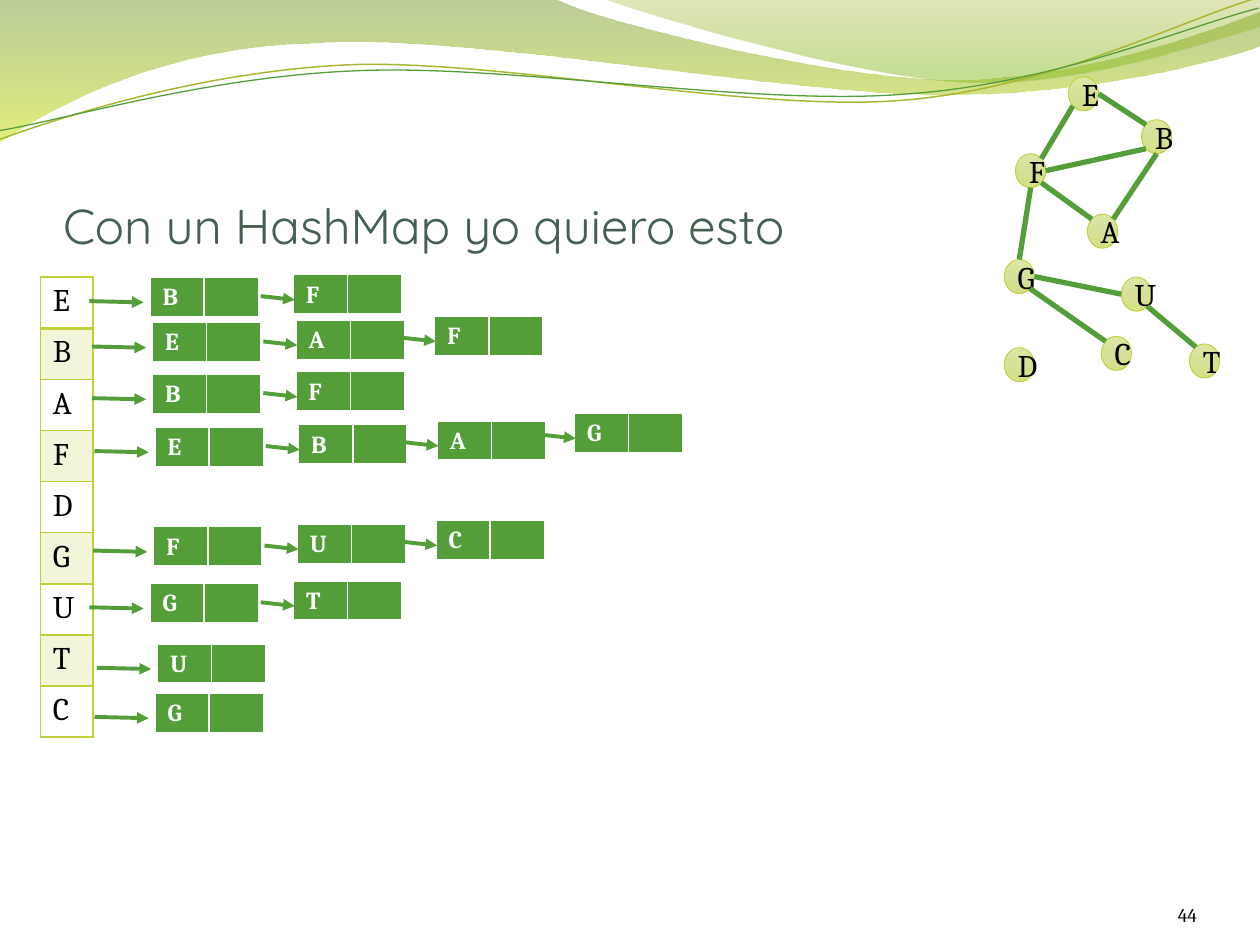
"""Builds a slide showing a graph and its adjacency lists in a HashMap."""
from dataclasses import dataclass
from math import cos, radians, sin

from lxml.etree import SubElement
from pptx import Presentation
from pptx.dml.color import RGBColor
from pptx.enum.shapes import MSO_CONNECTOR, MSO_SHAPE
from pptx.enum.text import MSO_ANCHOR, MSO_AUTO_SIZE, PP_ALIGN
from pptx.oxml.ns import qn
from pptx.util import Inches, Pt


@dataclass(frozen=True)
class Theme:
    """Colours, fonts and sizes in points."""
    green: str = "549E39"
    lime: str = "C0CF3A"
    olive: str = "A9B733"
    heading: str = "455F51"
    black: str = "000000"
    white: str = "FFFFFF"
    vertex: tuple = ((0, "DDE6A6", 100), (50, "D7E098", 100), (100, "D4E084", 100))
    back_wave: tuple = ((0, "69921C", 45), (100, "CCE10F", 55))
    front_wave: tuple = ((0, "9BAA1A", 30), (80, "81BA16", 45))
    title_font: str = "Quicksand"
    body_font: str = "Cambria"
    title_size: float = 28
    letter_size: float = 18
    node_size: float = 14
    number_size: float = 11


class SlideBuilder:
    """Draws styled elements on a slide divided into 10 columns by 7.5 rows."""

    def __init__(self, presentation, theme):
        self.theme = theme
        self.unit = presentation.slide_width / 10
        self.master = presentation.slide_master
        self.slide = presentation.slides.add_slide(presentation.slide_layouts[5])
        self.shapes = self.slide.shapes

    def grid(self, *lengths):
        """Converts columns or rows to slide units."""
        return [round(length * self.unit) for length in lengths]

    def format(self, paragraph, size, color, font=None, bold=False, align=None):
        """Sets the type of one paragraph."""
        paragraph.font.name = font or self.theme.body_font
        paragraph.font.size = Pt(size)
        paragraph.font.bold = bold
        paragraph.font.color.rgb = RGBColor.from_string(color)
        paragraph.alignment = align

    def frame(self, text_frame, text, top_inset=0):
        """Fills a bottom-anchored text frame and returns its paragraph."""
        text_frame.text = text
        text_frame.word_wrap = True
        text_frame.auto_size = MSO_AUTO_SIZE.NONE
        text_frame.vertical_anchor = MSO_ANCHOR.BOTTOM
        text_frame.margin_left = text_frame.margin_right = text_frame.margin_bottom = 0
        text_frame.margin_top = Inches(top_inset)
        return text_frame.paragraphs[0]

    def title(self, text, *box):
        """Moves and formats the title placeholder."""
        title = self.shapes.title
        title.left, title.top, title.width, title.height = self.grid(*box)
        self.format(self.frame(title.text_frame, text, 0.05), self.theme.title_size,
                    self.theme.heading, self.theme.title_font, align=PP_ALIGN.LEFT)

    def number(self, text, *box):
        """Adds the slide number."""
        shape = self.shapes.add_textbox(*self.grid(*box))
        self.format(self.frame(shape.text_frame, text), self.theme.number_size,
                    self.theme.black, align=PP_ALIGN.RIGHT)

    def gradient(self, shape, stops):
        """Fills a shape from top to bottom with position, colour and opacity stops."""
        shape.fill.gradient()
        shape.fill.gradient_angle = 270
        stop_list = shape.element.spPr.find(qn("a:gradFill")).find(qn("a:gsLst"))
        for stop in list(stop_list):
            stop_list.remove(stop)
        for position, color, opacity in stops:
            stop = SubElement(stop_list, qn("a:gs"), pos=str(position * 1000))
            value = SubElement(stop, qn("a:srgbClr"), val=color)
            if opacity < 100:
                SubElement(value, qn("a:alpha"), val=str(opacity * 1000))

    def wave(self, start, segments, stops=None, line=None, rotation=0):
        """Draws straight (2 numbers) and Bezier (6 numbers) segments on the master."""
        points = [self.grid(*segment[index:index + 2])
                  for segment in segments for index in range(0, len(segment), 2)]
        builder = self.shapes.build_freeform(*self.grid(*start))
        builder.add_line_segments(points, close=bool(stops))
        shape = builder.convert_to_shape()
        steps = iter(list(shape.element.spPr.iter(qn("a:lnTo"))))
        for segment in segments:
            step = next(steps)
            if len(segment) == 6:
                step.tag = qn("a:cubicBezTo")
                for control in (next(steps), next(steps)):
                    control.getparent().remove(control)
                    step.append(control[0])
        shape.rotation = rotation
        shape.shadow.inherit = False
        if stops:
            self.gradient(shape, stops)
            shape.line.fill.background()
        else:
            shape.fill.background()
            shape.line.color.rgb = RGBColor.from_string(line[0])
            shape.line.width = Pt(line[1])
        shape.element.nvSpPr.cNvPr.set("id", str(100 + len(self.master.shapes)))
        self.master.shapes.element.append(shape.element)

    def line(self, start, end, width, arrow=False):
        """Adds a straight line, with an arrowhead if asked."""
        connector = self.shapes.add_connector(
            MSO_CONNECTOR.STRAIGHT, *self.grid(*start), *self.grid(*end))
        connector.line.color.rgb = RGBColor.from_string(self.theme.green)
        connector.line.width = Pt(width)
        if arrow:
            SubElement(connector.line._get_or_add_ln(), qn("a:tailEnd"), type="triangle")
        SubElement(connector.element.spPr, qn("a:effectLst"))

    def vertex(self, letter, *box):
        """Adds one round vertex of the graph."""
        shape = self.shapes.add_shape(MSO_SHAPE.OVAL, *self.grid(*box))
        shape.shadow.inherit = False
        self.gradient(shape, self.theme.vertex)
        shape.line.color.rgb = RGBColor.from_string(self.theme.lime)
        shape.line.width = Pt(0.5)
        shape.text_frame.text = letter
        shape.text_frame.vertical_anchor = MSO_ANCHOR.MIDDLE
        self.format(shape.text_frame.paragraphs[0], self.theme.letter_size,
                    self.theme.black, align=PP_ALIGN.CENTER)

    def cell(self, cell, text, size, color, bold, fill, opacity, border, bottom):
        """Writes, fills and borders one table cell."""
        cell.text = text
        paragraph = cell.text_frame.paragraphs[0]
        self.format(paragraph, size, color, bold=bold)
        if not text:
            SubElement(paragraph._p, qn("a:endParaRPr"), sz=str(size * 100))
        properties = cell._tc.get_or_add_tcPr()
        if fill:
            cell.fill.solid()
            cell.fill.fore_color.rgb = RGBColor.from_string(fill)
            if opacity < 100:
                value = properties.find(qn("a:solidFill")).find(qn("a:srgbClr"))
                SubElement(value, qn("a:alpha"), val=str(opacity * 1000))
        else:
            cell.fill.background()
        for index, (side, width) in enumerate(zip("LRTB", (1, 1, 1, bottom))):
            edge = SubElement(properties, qn(f"a:ln{side}"), w=str(Pt(width)))
            SubElement(SubElement(edge, qn("a:solidFill")), qn("a:srgbClr"), val=border)
            properties.insert(index, edge)

    def table(self, rows, left, top, column, row):
        """Adds a plain table with equal columns and rows and returns it."""
        table = self.shapes.add_table(len(rows), len(rows[0]), *self.grid(
            left, top, column * len(rows[0]), row * len(rows))).table
        table.first_row = table.horz_banding = False
        return table

    def keys(self, letters, *place):
        """Adds the column of map keys."""
        table = self.table(letters, *place)
        for index, letter in enumerate(letters):
            self.cell(table.cell(index, 0), letter, self.theme.letter_size, self.theme.black,
                      False, self.theme.lime if index % 2 else None, 20,
                      self.theme.lime, 1 if index else 2)

    def chain(self, letters, left, top):
        """Adds a linked list of nodes, each with its incoming arrow."""
        offsets = ((0, 0), (1.14, -0.02), (2.24, -0.05), (3.33, -0.11))
        for index, (letter, (across, down)) in enumerate(zip(letters, offsets)):
            x, y = left + across, top + down
            table = self.table([(letter, "")], x, y, 0.43, 0.31)
            for column, text in enumerate((letter, "")):
                self.cell(table.cell(0, column), text, self.theme.node_size, self.theme.white,
                          True, self.theme.green, 100, self.theme.white, 3)
            start, end = ((-0.26, 0.17), (0.01, 0.2)) if index else ((-0.48, 0.19), (-0.05, 0.2))
            self.line((x + start[0], y + start[1]), (x + end[0], y + end[1]), 2.25, arrow=True)

    def graph(self, vertices, edges, width=0.24, height=0.27):
        """Draws vertices and edges; each edge end names a vertex and an angle."""
        for letter, (left, top) in vertices.items():
            self.vertex(letter, left, top, width, height)
        for edge in edges:
            ends = [(vertices[letter][0] + width / 2 * (1 + cos(radians(angle))),
                     vertices[letter][1] + height / 2 * (1 - sin(radians(angle))))
                    for letter, angle in edge]
            self.line(*ends, 3)


def main():
    """Builds and saves the slide."""
    presentation = Presentation()
    presentation.slide_width, presentation.slide_height = Inches(10), Inches(7.5)
    theme = Theme()
    builder = SlideBuilder(presentation, theme)
    builder.wave((0, 0), [
        (4.4, -0.01), (4.75, 0.17, 6.63, 0.63, 7.58, 0.63), (8.53, 0.63, 9.58, 0.26, 10, 0.09),
        (10.01, 0.36), (9.83, 0.44, 8.69, 0.76, 7.46, 0.75), (6.22, 0.75, 3.81, 0.28, 2.57, 0.34),
        (1.29, 0.36, 0.46, 0.83, -0.01, 1.13), (0, 0)], theme.back_wave)
    builder.wave((4.79, -0.01), [
        (5.09, 0.11, 6.82, 0.62, 7.68, 0.65), (8.55, 0.69, 9.61, 0.32, 10, 0.21), (10, 0),
        (4.79, -0.01)], theme.front_wave)
    builder.wave((-0.02, 0.87), [
        (0.47, 0.72, 1.57, 0.41, 2.77, 0.41), (3.96, 0.42, 5.9, 0.93, 7.11, 0.9),
        (8.32, 0.87, 9.4, 0.36, 10, 0.22)], line=(theme.olive, 0.85), rotation=357.3)
    builder.wave((-0.02, 0.8), [
        (0.46, 0.75, 1.63, 0.45, 2.83, 0.46), (4.02, 0.46, 5.96, 0.89, 7.16, 0.85),
        (8.35, 0.83, 9.42, 0.42, 10.01, 0.3)], line=(theme.green, 0.75), rotation=357.3)
    builder.title("Con un HashMap yo quiero esto", 0.5, 0.77, 9, 1.25)
    builder.number("44", 8.67, 6.95, 0.83, 0.4)
    builder.keys("EBAFDGUTC", 0.32, 2.2, 0.42, 3.65 / 9)
    for letters, left, top in (
            ("BF", 1.19, 2.2), ("EAF", 1.21, 2.56), ("BF", 1.21, 2.97), ("EBAG", 1.23, 3.39),
            ("FUC", 1.22, 4.18), ("GT", 1.19, 4.63), ("U", 1.25, 5.11), ("G", 1.23, 5.5)):
        builder.chain(letters, left, top)
    builder.graph(
        {"C": (8.74, 2.67), "A": (8.63, 1.7), "B": (9.06, 0.95), "T": (9.44, 2.73),
         "U": (8.9, 2.2), "E": (8.48, 0.61), "F": (8.06, 1.22), "G": (7.97, 2.06),
         "D": (7.97, 2.76)},
        ((("A", 45), ("B", 270)), (("F", 0), ("B", 225)), (("F", 45), ("E", 225)),
         (("A", 135), ("F", 315)), (("B", 135), ("E", 0)), (("T", 125), ("U", 315)),
         (("G", 90), ("F", 270)), (("C", 135), ("G", 315)), (("U", 180), ("G", 0))))
    presentation.save("out.pptx")


if __name__ == "__main__":
    main()
